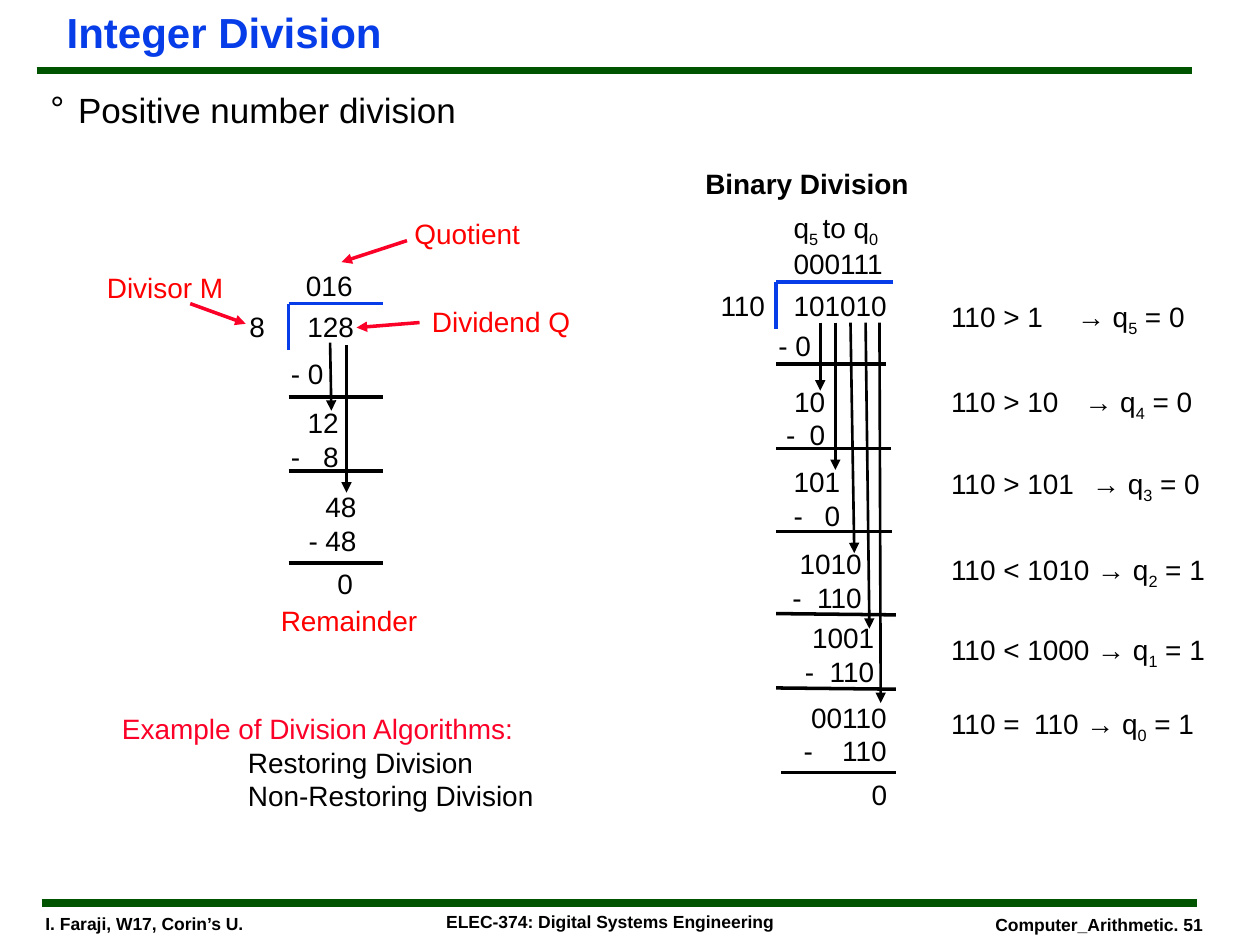
from lxml.etree import SubElement
from pptx import Presentation
from pptx.dml.color import RGBColor
from pptx.enum.shapes import MSO_CONNECTOR as Connector
from pptx.enum.text import PP_ALIGN as Align
from pptx.oxml.ns import qn
from pptx.util import Inches, Pt

# The page is a grid of 100 columns by 75 rows
WIDTH, HEIGHT = Inches(10), Inches(7.5)
COLUMN, ROW = WIDTH / 100, HEIGHT / 75

BLACK = RGBColor(0x00, 0x00, 0x00)
BLUE = RGBColor(0x06, 0x3D, 0xE8)
GREEN = RGBColor(0x00, 0x54, 0x00)
RED = RGBColor(0xFF, 0x00, 0x00)
CRIMSON = RGBColor(0xFC, 0x01, 0x28)

# Font looks
PLAIN = {"name": "Arial", "size": Pt(16), "bold": False}
STRONG = PLAIN | {"bold": True}
FOOTER = STRONG | {"size": Pt(10)}
TITLE = STRONG | {"size": Pt(24)}
TOPIC = PLAIN | {"size": Pt(20)}

# Box insets in cells: sides, then top and bottom
WIDE, TIGHT = (1, 0.5), (0.7, 0.3)


def add_spans(para, text, look, color):
    """Fill a paragraph; text between tildes is set as subscript."""
    for index, piece in enumerate(text.split("~")):
        if not piece:
            continue
        span = para.add_run()
        span.text = piece
        for key, value in look.items():
            setattr(span.font, key, value)
        span.font.color.rgb = color
        if index % 2:
            span.font._element.set("baseline", "-25000")


def add_text(page, left, top, width, height, text, look=PLAIN, color=BLACK,
             inset=WIDE, **layout):
    """Add a text box with one paragraph for each line of text."""
    box = page.shapes.add_textbox(*(round(size) for size in (
        left * COLUMN, top * ROW, width * COLUMN, height * ROW)))
    side, edge = round(inset[0] * COLUMN), round(inset[1] * ROW)
    frame = box.text_frame
    settings = {"word_wrap": True, "margin_left": side, "margin_right": side,
                "margin_top": edge, "margin_bottom": edge}
    for key, value in settings.items():
        setattr(frame, key, value)
    for index, line in enumerate(text.split("\n")):
        para = frame.add_paragraph() if index else frame.paragraphs[0]
        for key, value in layout.items():
            setattr(para, key, value)
        add_spans(para, line, look, color)
    return frame


def set_tab(frame, position, align):
    """Give every paragraph one tab stop, in columns from the text edge."""
    for para in frame.paragraphs:
        stops = SubElement(para._p.get_or_add_pPr(), qn("a:tabLst"))
        SubElement(stops, qn("a:tab"), pos=str(round(position * COLUMN)), algn=align)


def add_bullet(para, char, indent):
    """Hang a bullet character in front of a paragraph."""
    props = para._p.get_or_add_pPr()
    props.set("marL", str(round(indent * COLUMN)))
    props.set("indent", str(round(-indent * COLUMN)))
    SubElement(props, qn("a:buFont"), typeface="Arial")
    SubElement(props, qn("a:buChar"), char=char)


def add_line(page, x1, y1, x2, y2, color=BLACK, weight=2, arrow=False):
    """Draw a straight line, with an arrowhead at its end if asked for."""
    line = page.shapes.add_connector(Connector.STRAIGHT, *(round(place) for place in (
        x1 * COLUMN, y1 * ROW, x2 * COLUMN, y2 * ROW)))
    line.line.color.rgb = color
    line.line.width = Pt(weight)
    if arrow:
        SubElement(line.line._get_or_add_ln(), qn("a:tailEnd"), type="triangle")
    SubElement(line._element.spPr, qn("a:effectLst"))


def add_step(page, minus, right, top, upper, lower):
    """Write a subtraction whose digits line up on their right edge."""
    frame = add_text(page, minus - 1, top, right - minus + 5, 6.4,
                     f"\t{upper}\n-\t{lower}")
    set_tab(frame, right - minus, "r")


def add_bracket(page, left, top, right):
    """Draw the division bracket."""
    add_line(page, left, top, right, top, BLUE)
    add_line(page, left, top, left, top + 3.7, BLUE)


def add_frame(page):
    """Title, topic, rules and footer."""
    add_line(page, 2.9, 5.6, 94.6, 5.6, GREEN, 4.5)
    add_line(page, 3.3, 71.7, 95, 71.7, GREEN, 4.5)
    add_text(page, 4.6, 0.8, 30, 4.1, "Integer Division", TITLE, BLUE, TIGHT,
             line_spacing=0.87)
    topic = add_text(page, 3.3, 6.7, 91.1, 5, "Positive number division", TOPIC,
                     inset=TIGHT)
    add_bullet(topic.paragraphs[0], "°", 2.2)
    add_text(page, 2.9, 72.2, 20.5, 2.4, "I. Faraji, W17, Corin’s U.", FOOTER, inset=TIGHT)
    add_text(page, 31.5, 71.8, 33.8, 3.3, "ELEC-374: Digital Systems Engineering",
             FOOTER, alignment=Align.CENTER)
    add_text(page, 78.3, 72.2, 18.5, 2.2, "Computer_Arithmetic. 51", FOOTER, inset=TIGHT)


def add_decimal_division(page):
    """128 divided by 8, with its parts named."""
    add_bracket(page, 22.9, 24.1, 30.4)
    for left, top, text in ((23.3, 20.8, "016"), (23.4, 24.1, "128"),
                            (18.8, 24.1, "8"), (22.1, 27.8, "- 0"), (25.8, 44.5, "0")):
        add_text(page, left, top, 7.5, 3.7, text)
    add_step(page, 23.1, 26.9, 31.7, "12", "8")
    add_step(page, 24.5, 28.3, 38.4, "48", "48")
    for row in (31.5, 37.4, 44.7):
        add_line(page, 22.9, row, 30.4, row)

    # Digits brought down
    add_line(page, 26.2, 27.2, 26.3, 32.6, weight=1.5, arrow=True)
    add_line(page, 27.5, 27.4, 27.5, 39.1, weight=1.5, arrow=True)

    # Names of the parts
    for left, top, text in ((31.9, 16.7, "Quotient"), (7.5, 21, "Divisor M"),
                            (33.3, 23.7, "Dividend Q"), (21.3, 47.4, "Remainder")):
        add_text(page, left, top, 14.2, 3.7, text, color=RED)
    for ends in ((32.3, 19.1, 27.1, 20.8), (33.3, 25.6, 28.3, 26),
                 (15.1, 24.1, 19.5, 25.7)):
        add_line(page, *ends, CRIMSON, arrow=True)


def add_binary_division(page):
    """101010 divided by 110."""
    add_text(page, 55, 12.7, 19.6, 3.7, "Binary Division", STRONG)
    add_bracket(page, 61.6, 22.4, 70.9)
    for left, top, text in ((62, 16.2, "q~5 ~to q~0~"), (62, 19.1, "000111"),
                            (62, 22.4, "101010"), (56.2, 22.4, "110"),
                            (60.8, 25.6, "- 0"), (68.2, 61.2, "0")):
        add_text(page, left, top, 9.5, 3.7, text)
    for step in ((62.4, 65.5, 30, "10", "0"), (63, 66.7, 36.4, "101", "0"),
                 (62.9, 68.4, 42.9, "1010", "110"), (63.9, 69.4, 48.8, "1001", "110"),
                 (63.8, 70.4, 55.1, "00110", "110")):
        add_step(page, *step)
    for ends in ((61.6, 28.9, 70.3, 28.9), (61.6, 35.6, 70.7, 35.6),
                 (61.6, 42.2, 70.8, 42.2), (61.6, 48.7, 71.1, 48.8),
                 (61.6, 54.6, 71.1, 54.7), (62, 61.3, 71.1, 61.3)):
        add_line(page, *ends)

    # Digits brought down
    for start, end, bottom in ((65.1, 65.1, 31), (66.3, 66.3, 37.3), (67.5, 67.8, 43.9),
                               (68.7, 69, 49.9), (69.8, 69.9, 55.8)):
        add_line(page, start, 25.6, end, bottom, weight=1.5, arrow=True)


def add_comparisons(page):
    """The test that sets each quotient bit, from q5 down to q0."""
    tests = ((23.3, "110 > 1\t→", 0, 10), (30, "110 > 10\t→", 0, 10.6),
             (36.5, "110 > 101\t→", 0, 11.2), (43.4, "110 < 1010 →", 1, None),
             (49.7, "110 < 1000 →", 1, None), (55.6, "110 =\t110 →", 1, 6.6))
    for index, (top, test, bit, tab) in enumerate(tests):
        frame = add_text(page, 74.5, top, 23, 3.7, f"{test} q~{5 - index}~ = {bit}")
        if tab:
            set_tab(frame, tab, "l")


def add_algorithms(page):
    """Two kinds of algorithm under a heading."""
    frame = add_text(page, 8.7, 56, 36, 9.1, "Example of Division Algorithms:",
                     color=CRIMSON)
    for name in ("Restoring Division", "Non-Restoring Division"):
        para = frame.add_paragraph()
        para._p.get_or_add_pPr().set("marL", str(round(10 * COLUMN)))
        add_spans(para, name, PLAIN, BLACK)


def main():
    deck = Presentation()
    deck.slide_width, deck.slide_height = WIDTH, HEIGHT
    page = deck.slides.add_slide(deck.slide_layouts[6])
    for add_part in (add_frame, add_decimal_division, add_binary_division,
                     add_comparisons, add_algorithms):
        add_part(page)
    deck.save("out.pptx")


if __name__ == "__main__":
    main()
